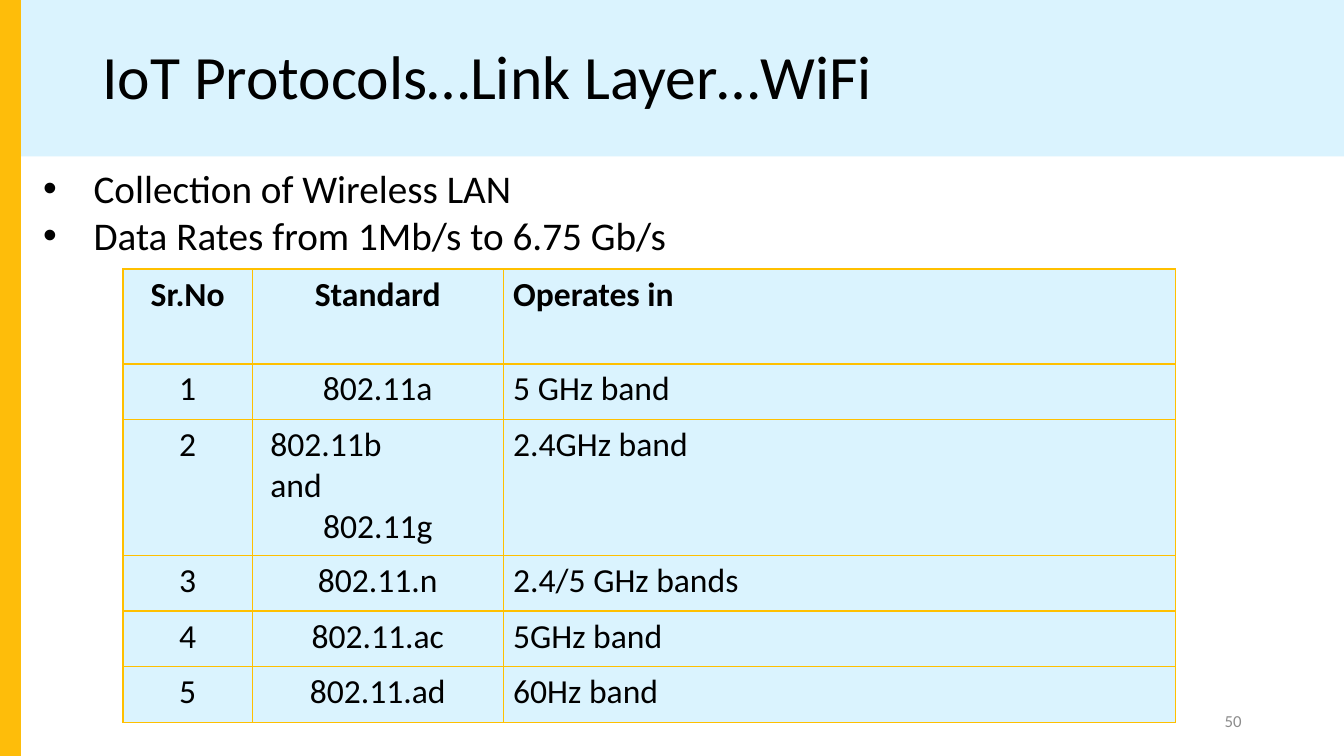
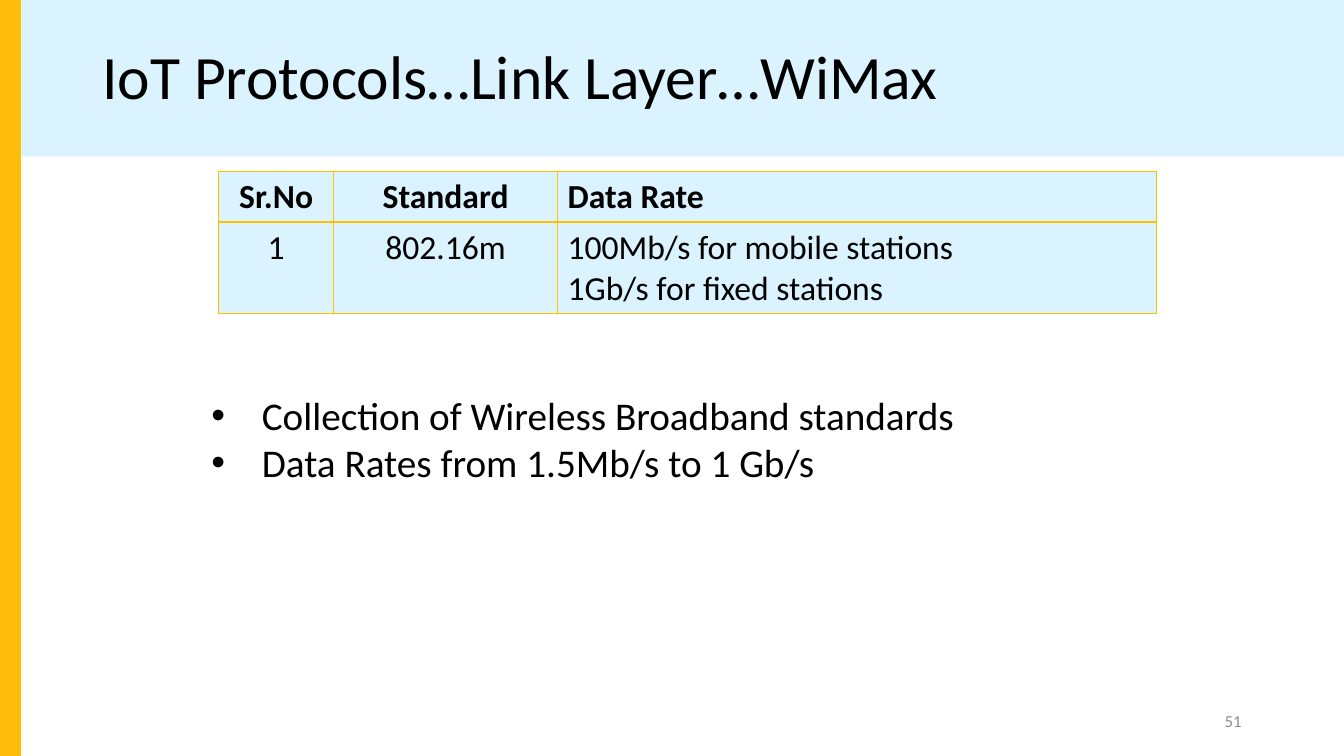
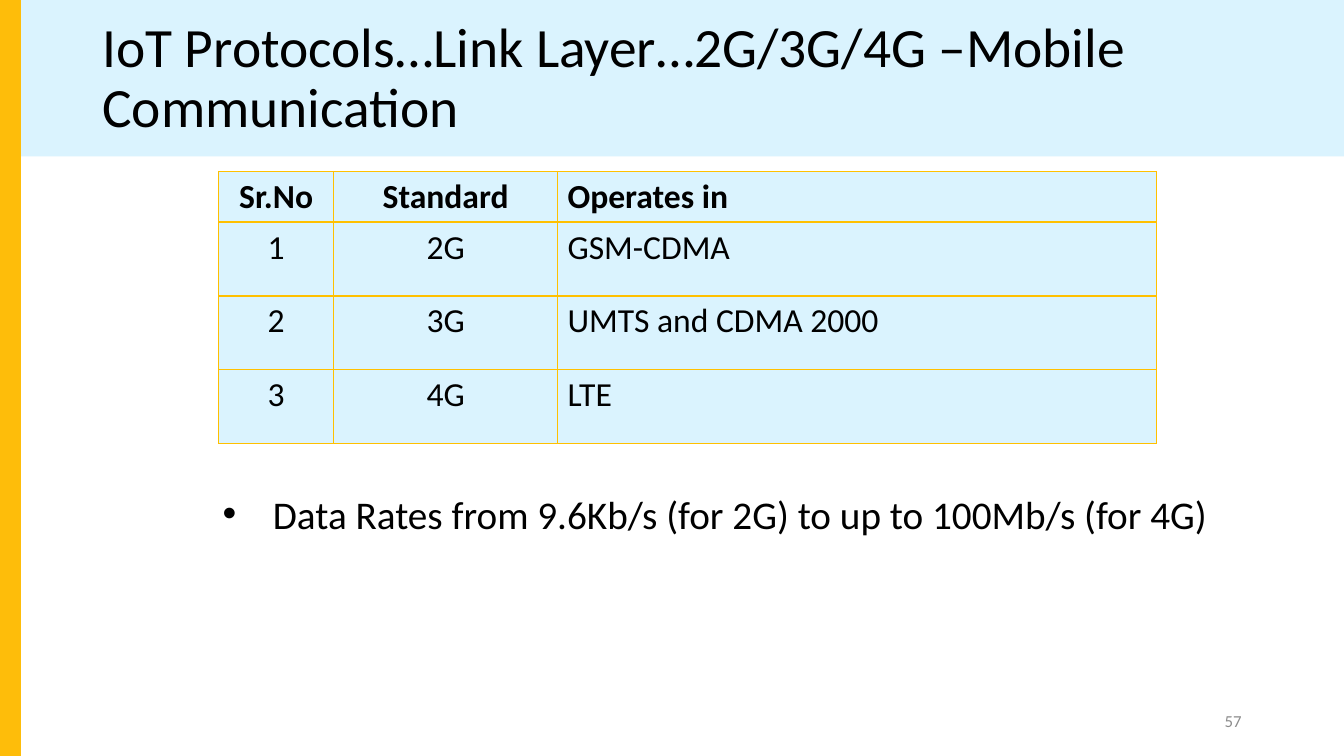
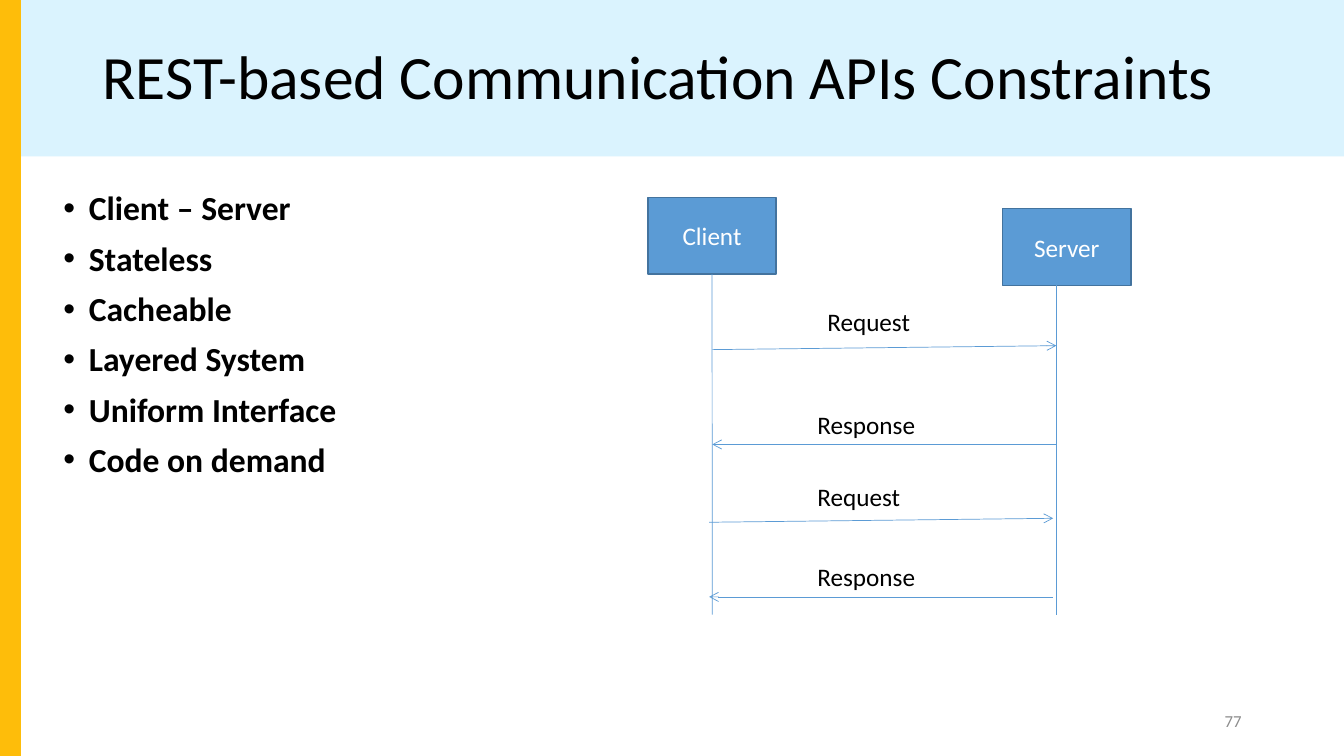
from lxml import etree
from pptx import Presentation
from pptx.dml.color import RGBColor
from pptx.enum.shapes import MSO_CONNECTOR, MSO_SHAPE
from pptx.enum.text import MSO_ANCHOR, PP_ALIGN
from pptx.oxml.ns import qn
from pptx.util import Cm, Pt

LEFT, CENTER, RIGHT = PP_ALIGN.LEFT, PP_ALIGN.CENTER, PP_ALIGN.RIGHT
TOP, MIDDLE = MSO_ANCHOR.TOP, MSO_ANCHOR.MIDDLE
RECTANGLE, STRAIGHT = MSO_SHAPE.RECTANGLE, MSO_CONNECTOR.STRAIGHT

FONT = "Calibri"
BLACK = RGBColor(0x00, 0x00, 0x00)
WHITE = RGBColor(0xFF, 0xFF, 0xFF)
GREY = RGBColor(0x8C, 0x8C, 0x8C)
PALE_BLUE = RGBColor(0xDA, 0xF3, 0xFE)
AMBER = RGBColor(0xFE, 0xBD, 0x0A)
GOLD = RGBColor(0xFF, 0xC0, 0x00)
BLUE = RGBColor(0x5B, 0x9B, 0xD5)
DARK_BLUE = RGBColor(0x43, 0x73, 0x9E)

SLIDE_W, SLIDE_H = 33.87, 19.05

# Content: lengths in cm
NARROW_TABLE = {"at": (5.51, 4.32), "cols": (2.9, 5.64, 15.1)}

TABLE_SLIDES = [
    {
        "title": "IoT Protocols…Link Layer…WiFi", "title_size": 44, "page": 50,
        "table": {
            "at": (3.1, 6.78), "cols": (3.26, 6.32, 16.94),
            "heights": (2.39, 1.4, 3.43, 1.4, 1.4, 1.4),
            "rows": [
                ("Sr.No", "Standard", "Operates in"),
                ("1", "802.11a", "5 GHz band"),
                ("2", "802.11b\tand\n802.11g", "2.4GHz band"),
                ("3", "802.11.n", "2.4/5 GHz bands"),
                ("4", "802.11.ac", "5GHz band"),
                ("5", "802.11.ad", "60Hz band"),
            ],
        },
        "bullets_at": (0.84, 4.01, 25.12, 2.64),
        "bullets": ["Collection of Wireless LAN",
                    "Data Rates from 1Mb/s to 6.75 Gb/s"],
    },
    {
        "title": "IoT Protocols…Link Layer…WiMax", "title_size": 44, "page": 51,
        "table": {
            **NARROW_TABLE, "heights": (1.28, 2.3),
            "rows": [
                ("Sr.No", "Standard", "Data Rate"),
                ("1", "802.16m",
                 "100Mb/s for mobile stations\n1Gb/s for fixed stations"),
            ],
        },
        "bullets_at": (5.08, 9.73, 26.82, 2.64),
        "bullets": ["Collection of Wireless Broadband standards",
                    "Data Rates from 1.5Mb/s to 1 Gb/s"],
    },
    {
        "title": "IoT Protocols…Link Layer…2G/3G/4G –Mobile Communication",
        "title_size": 39.6, "page": 57,
        "table": {
            **NARROW_TABLE, "heights": (1.28, 1.86, 1.86, 1.86),
            "rows": [
                ("Sr.No", "Standard", "Operates in"),
                ("1", "2G", "GSM-CDMA"),
                ("2", "3G", "UMTS and CDMA 2000"),
                ("3", "4G", "LTE"),
            ],
        },
        "bullets_at": (5.36, 12.22, 26.52, 1.45),
        "bullets": ["Data Rates from 9.6Kb/s (for 2G) to up to 100Mb/s (for 4G)"],
    },
]

CONSTRAINTS = ["Client – Server", "Stateless", "Cacheable", "Layered System",
               "Uniform Interface", "Code on demand"]

CLIENT_X, SERVER_X, LIFELINE_TOP, LIFELINE_END = 17.95, 26.62, 6.91, 15.49
# label, label left, label top, x shift, client-end y, server-end y, to server
MESSAGES = [
    ("Request", 20.6, 7.59, 0, 8.81, 8.71, True),
    ("Response", 20.35, 10.19, 0, 11.2, 11.2, False),
    ("Request", 20.35, 12.01, -0.08, 13.16, 13.06, True),
    ("Response", 20.35, 14.02, -0.08, 15.04, 15.04, False),
]


def cm(lengths):
    return [Cm(length) for length in lengths]


def add_run(paragraph, text, size, color=BLACK, bold=False):
    run = paragraph.add_run()
    run.text = text
    font = run.font
    font.name, font.size, font.bold = FONT, Pt(size), bold
    font.color.rgb = color


def add_bullet(paragraph, indent):
    props = paragraph._p.get_or_add_pPr()
    props.set("marL", str(Cm(indent)))
    props.set("indent", str(-Cm(indent)))
    etree.SubElement(props, qn("a:buFont"), typeface="Arial")
    etree.SubElement(props, qn("a:buChar"), char="•")


def add_text(slide, box, lines, size, color=BLACK, bold=False, align=LEFT,
             anchor=TOP, indent=0, spacing=None, before=0):
    frame = slide.shapes.add_textbox(*cm(box)).text_frame
    frame.word_wrap = True
    frame.vertical_anchor = anchor
    for i, line in enumerate(lines):
        paragraph = frame.add_paragraph() if i else frame.paragraphs[0]
        if indent:
            add_bullet(paragraph, indent)
        paragraph.alignment = align
        paragraph.line_spacing = spacing
        if i and before:
            paragraph.space_before = Pt(before)
        add_run(paragraph, line, size, color, bold)


def add_rect(slide, box, fill, outline=None):
    rect = slide.shapes.add_shape(RECTANGLE, *cm(box))
    rect.shadow.inherit = False
    rect.fill.solid()
    rect.fill.fore_color.rgb = fill
    if outline:
        rect.line.color.rgb = outline
        rect.line.width = Pt(1)
    else:
        rect.line.fill.background()
    return rect


def add_line(slide, start, end, arrow=False):
    line = slide.shapes.add_connector(STRAIGHT, *cm(start + end))
    line.line.color.rgb = BLUE
    line.line.width = Pt(0.5)
    if arrow:
        etree.SubElement(line.line._get_or_add_ln(), qn("a:tailEnd"), type="arrow")
    etree.SubElement(line._element.spPr, qn("a:effectLst"))
    return line


def set_borders(cell, widths):
    props = cell._tc.get_or_add_tcPr()
    for side, width in zip("LRTB", widths):
        border = etree.SubElement(props, qn(f"a:ln{side}"), w=str(Pt(width)))
        fill = etree.SubElement(border, qn("a:solidFill"))
        etree.SubElement(fill, qn("a:srgbClr"), val=str(GOLD))


def add_tab_stop(paragraph, indent, stop):
    props = paragraph._p.get_or_add_pPr()
    props.set("marL", str(Cm(indent)))
    tabs = etree.SubElement(props, qn("a:tabLst"))
    etree.SubElement(tabs, qn("a:tab"), pos=str(Cm(stop)), algn="l")


def add_standards_table(slide, at, cols, heights, rows):
    size = (sum(cols), sum(heights))
    table = slide.shapes.add_table(len(rows), len(cols), *cm(at + size)).table
    table.first_row = table.horz_banding = False
    for column, width in zip(table.columns, cols):
        column.width = Cm(width)
    for r, (row, height) in enumerate(zip(rows, heights)):
        table.rows[r].height = Cm(height)
        for c, content in enumerate(row):
            cell = table.cell(r, c)
            set_borders(cell, (1, 1, 2 if r == 1 else 1, 2 if r == 0 else 1))
            cell.fill.solid()
            cell.fill.fore_color.rgb = PALE_BLUE
            frame = cell.text_frame
            for i, line in enumerate(content.split("\n")):
                paragraph = frame.add_paragraph() if i else frame.paragraphs[0]
                if "\t" in line:
                    add_tab_stop(paragraph, 0.2, 4.34)
                    paragraph.alignment = LEFT
                else:
                    paragraph.alignment = CENTER if c < 2 else LEFT
                add_run(paragraph, line, 24, bold=r == 0)


def new_slide(deck, title, title_size, page):
    """Slide with the shared title band, side strip and page number."""
    slide = deck.slides.add_slide(deck.slide_layouts[6])
    add_rect(slide, (0, 0, SLIDE_W, 3.94), PALE_BLUE)
    add_rect(slide, (-0.03, 0, 0.56, SLIDE_H), AMBER)
    add_text(slide, (2.33, 0.51, 29.21, 3), [title], title_size,
             anchor=MIDDLE, spacing=0.9)
    add_text(slide, (23.92, 17.65, 7.62, 1.02), [str(page)], 12, GREY,
             align=RIGHT, anchor=MIDDLE)
    return slide


def add_participant(slide, name, left, top):
    rect = add_rect(slide, (left, top, 3.23, 1.93), BLUE, DARK_BLUE)
    rect.text_frame.vertical_anchor = MIDDLE
    paragraph = rect.text_frame.paragraphs[0]
    paragraph.alignment = CENTER
    add_run(paragraph, name, 18, WHITE)
    return rect


def add_sequence(slide):
    # Participants and lifelines
    client = add_participant(slide, "Client", 16.33, 4.98)
    add_participant(slide, "Server", 25.27, 5.26)
    client_line, _ = [add_line(slide, (x, LIFELINE_TOP), (x, LIFELINE_END))
                      for x in (CLIENT_X, SERVER_X)]
    client_line.begin_connect(client, 2)
    # Messages
    for label, left, top, shift, client_y, server_y, to_server in MESSAGES:
        ends = [(CLIENT_X + shift, client_y), (SERVER_X + shift, server_y)]
        start, end = ends if to_server else ends[::-1]
        add_line(slide, start, end, arrow=True)
        add_text(slide, (left, top, 4.5, 1.02), [label], 18)


def main():
    deck = Presentation()
    deck.slide_width, deck.slide_height = Cm(SLIDE_W), Cm(SLIDE_H)

    # Link layer standards
    for content in TABLE_SLIDES:
        slide = new_slide(deck, content["title"], content["title_size"],
                          content["page"])
        add_standards_table(slide, **content["table"])
        add_text(slide, content["bullets_at"], content["bullets"], 28, indent=1.27)

    # REST constraints
    slide = new_slide(deck, "REST-based Communication APIs Constraints", 44, 77)
    add_text(slide, (1.35, 4.71, 12.04, 10.85), CONSTRAINTS, 24, bold=True,
             align=PP_ALIGN.JUSTIFY, indent=0.64, spacing=0.9, before=10)
    add_sequence(slide)

    deck.save("out.pptx")


if __name__ == "__main__":
    main()
